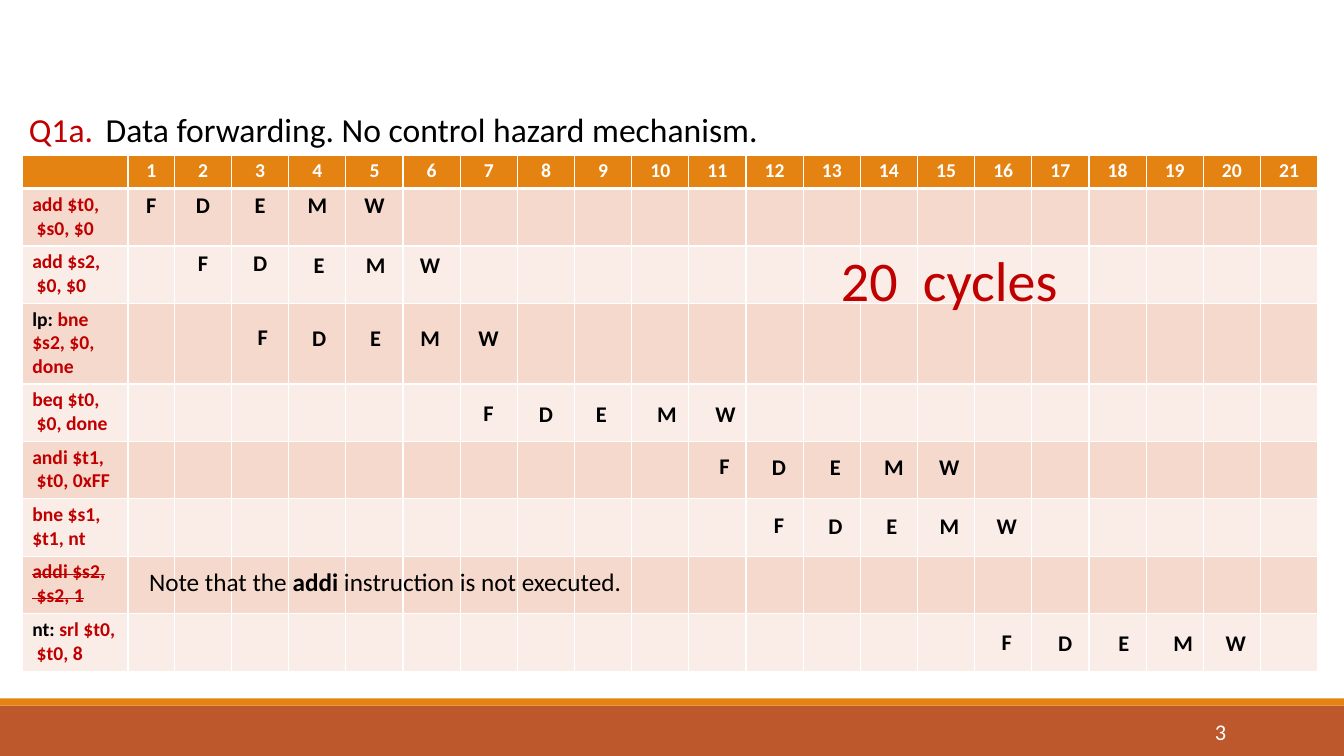
from lxml.etree import SubElement
from pptx import Presentation
from pptx.dml.color import RGBColor as Rgb
from pptx.enum.shapes import MSO_SHAPE as Preset
from pptx.enum.text import MSO_ANCHOR as Anchor, PP_ALIGN as Align
from pptx.oxml.ns import qn
from pptx.util import Emu, Pt

SCALE = 9144
COLORS = {
    "orange": "E48312", "rust": "BD582C", "red": "C00000", "black": "000000",
    "white": "FFFFFF", "dark_band": "F5D9CC", "light_band": "FAEDE7",
}
CYCLES = 21
STAGES = "FDEMW"
INSTRUCTIONS = [
    ["add $t0,", " $s0, $0"],
    ["add $s2,", " $0, $0"],
    ["lp: |bne $s2, $0, done"],
    ["beq $t0,", " $0, done"],
    ["andi $t1,", " $t0, 0xFF"],
    ["bne $s1, $t1, nt"],
    ["addi $s2,", " $s2, 1"],
    ["nt: |srl $t0,", " $t0, 8"],
]
SKIPPED_ROW = 7
LABEL_ROW_HEIGHTS = [57, 57, 80, 57, 57, 57, 57, 57]
CELL_STAGES = {(1, cycle): stage for cycle, stage in enumerate(STAGES, 1)}
CELL_STAGES.update({(2, 2): "F", (2, 3): "D"})
FLOATING_STAGES = [
    ("EMW", 244, [287, 343, 397]),
    (STAGES, 317, [231, 287, 343, 397, 455]),
    (STAGES, 392, [455, 512, 567, 632, 690]),
    (STAGES, 445, [689, 743, 799, 857, 912]),
    (STAGES, 503, [743, 799, 855, 912, 969]),
    (STAGES, 619, [969, 1027, 1085, 1144, 1196]),
]


def px(length):
    """Turn px into EMU."""
    return Emu(length * SCALE)


def rgb(name):
    """Look up a named colour."""
    return Rgb.from_string(COLORS[name])


class SlideBuilder:
    """Hold the style and the current slide."""

    font_name = "Calibri"

    def __init__(self, slide):
        """Keep the slide to draw on."""
        self.slide = slide

    def bar(self, left, top, width, height, color):
        """Add a plain filled rectangle."""
        shape = self.slide.shapes.add_shape(
            Preset.RECTANGLE, px(left), px(top), px(width), px(height))
        shape.shadow.inherit = False
        shape.fill.solid()
        shape.fill.fore_color.rgb = rgb(color)
        shape.line.fill.background()

    def style(self, paragraph, size, color, bold=False, align=Align.LEFT):
        """Set the font and alignment of a paragraph."""
        font = paragraph.font
        font.name, font.size, font.bold = self.font_name, Pt(size), bold
        font.color.rgb = rgb(color)
        paragraph.alignment = align

    def text(self, left, top, width, height, text, size, color="black",
             bold=False, align=Align.CENTER, anchor=Anchor.TOP):
        """Add a text box and return its paragraph."""
        frame = self.slide.shapes.add_textbox(
            px(left), px(top), px(width), px(height)).text_frame
        frame.word_wrap = True
        frame.vertical_anchor = anchor
        paragraph = frame.paragraphs[0]
        self.style(paragraph, size, color, bold, align)
        if text:
            paragraph.add_run().text = text
        return paragraph

    def table(self, left, top, label_width, first_width, cycles_width, heights):
        """Add the pipeline grid and return its table."""
        columns = CYCLES + 1
        total = label_width + first_width + cycles_width
        table = self.slide.shapes.add_table(
            len(heights), columns, px(left), px(top), px(total), px(sum(heights))).table
        table.first_row = table.horz_banding = False
        widths = [px(label_width), px(first_width)]
        widths += [Emu(px(cycles_width) // (CYCLES - 1))] * (CYCLES - 1)
        for column, width in zip(table.columns, widths):
            column.width = width
        for row, height in zip(table.rows, heights):
            row.height = px(height)
        return table

    def cell(self, cell, fill, top_line=1, bottom_line=1):
        """Set the margins, white borders and fill of a cell."""
        cell.margin_left = cell.margin_right = px(10)
        cell.margin_top, cell.margin_bottom = px(4), px(5)
        properties = cell._tc.get_or_add_tcPr()
        sides = {"lnL": 1, "lnR": 1, "lnT": top_line, "lnB": bottom_line}
        for side, width in sides.items():
            line = SubElement(properties, qn(f"a:{side}"), w=str(Pt(width)))
            solid = SubElement(line, qn("a:solidFill"))
            SubElement(solid, qn("a:srgbClr"), val=COLORS["white"])
        cell.fill.solid()
        cell.fill.fore_color.rgb = rgb(fill)

    def label(self, cell, lines, struck):
        """Write an instruction, with any jump label in black."""
        frame = cell.text_frame
        for index, line in enumerate(lines):
            paragraph = frame.add_paragraph() if index else frame.paragraphs[0]
            self.style(paragraph, 14, "red", True)
            parts = line.split("|")
            for part in parts:
                run = paragraph.add_run()
                run.text = part
                if part != parts[-1]:
                    run.font.color.rgb = rgb("black")
                if struck:
                    run._r.get_or_add_rPr().set("strike", "sngStrike")


def fill_table(builder, table):
    """Write the cycle numbers, instructions and first stages."""
    for row in range(len(INSTRUCTIONS) + 1):
        for column in range(CYCLES + 1):
            cell = table.cell(row, column)
            if row == 0:
                builder.cell(cell, "orange", bottom_line=3)
                size, color, text = 14, "white", str(column or "")
            else:
                band = "dark_band" if row % 2 else "light_band"
                builder.cell(cell, band, top_line=3 if row == 1 else 1)
                size, color, text = 16, "black", CELL_STAGES.get((row, column), "")
            if row and column == 0:
                builder.label(cell, INSTRUCTIONS[row - 1], row == SKIPPED_ROW)
                continue
            paragraph = cell.text_frame.paragraphs[0]
            builder.style(paragraph, size, color, True, Align.CENTER)
            if text:
                paragraph.add_run().text = text


def main():
    """Build the pipeline slide."""
    presentation = Presentation()
    presentation.slide_width, presentation.slide_height = px(1333), px(750)
    slide = presentation.slides.add_slide(presentation.slide_layouts[6])
    builder = SlideBuilder(slide)

    builder.bar(0, 700, 1333, 50, "rust")
    builder.bar(0, 693, 1333, 7, "orange")
    builder.text(11, 103, 99, 50, "Q1a.", 24, "red")
    fill_table(builder, builder.table(22, 154, 105, 46, 1134, [33] + LABEL_ROW_HEIGHTS))
    builder.text(95, 103, 904, 50, "Data forwarding. No control hazard mechanism.",
                 24, align=Align.LEFT)
    for stages, top, lefts in FLOATING_STAGES:
        for stage, left in zip(stages, lefts):
            stage_top = top - 1 if stage == "F" else top
            builder.text(left, stage_top, 59, 37, stage, 16, bold=True)
    builder.text(803, 239, 277, 77, "20  cycles", 40, "red")

    note = builder.text(138, 557, 518, 42, "", 18, align=Align.LEFT)
    for part in ("Note that the ", "addi", " instruction is not executed."):
        run = note.add_run()
        run.text = part
        run.font.bold = part == "addi"

    builder.text(1083, 706, 143, 40, "3", 16, "white",
                 align=Align.RIGHT, anchor=Anchor.MIDDLE)
    presentation.save("out.pptx")


if __name__ == "__main__":
    main()
